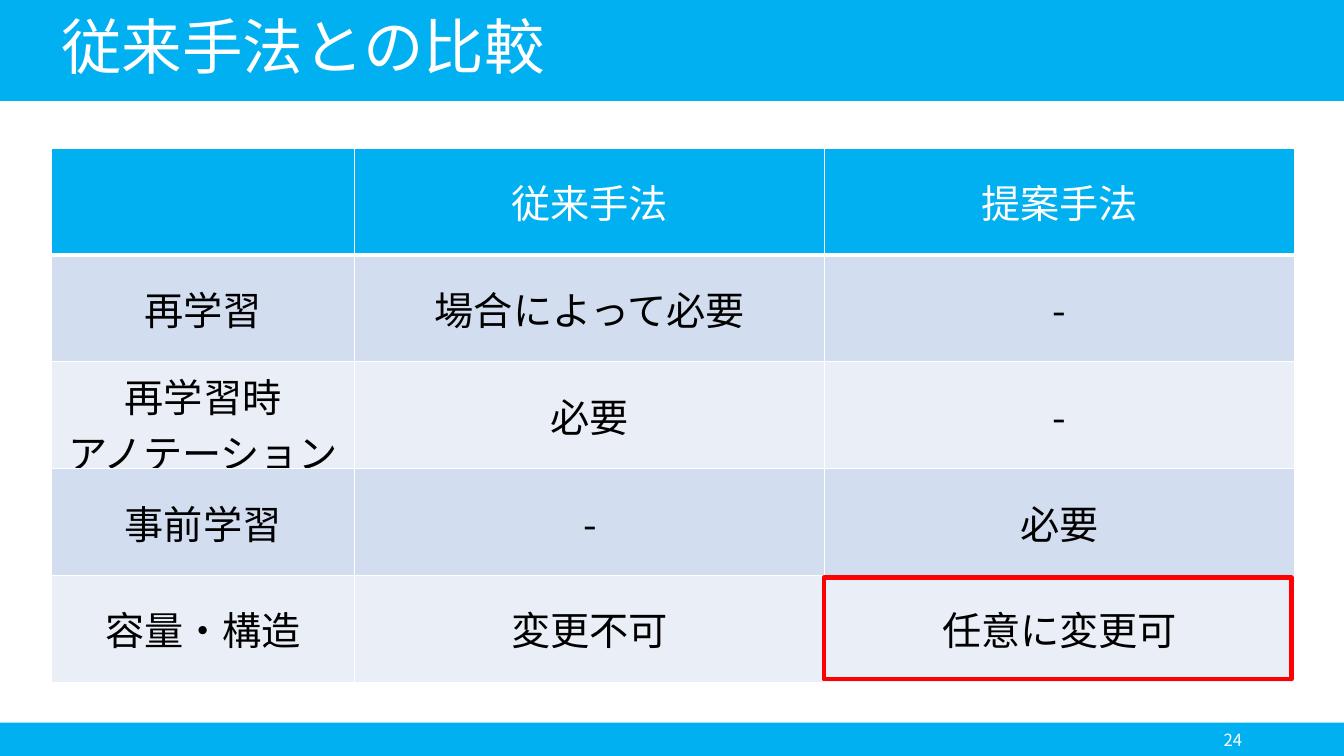
from lxml.etree import SubElement
from pptx import Presentation
from pptx.dml.color import RGBColor
from pptx.enum.shapes import MSO_SHAPE as SHAPE
from pptx.enum.text import MSO_ANCHOR as ANCHOR, PP_ALIGN as ALIGN
from pptx.oxml.ns import qn
from pptx.util import Inches, Pt

# Content
TITLE = "従来手法との比較"
PAGE = "24"
ROWS = [
    ("", "従来手法", "提案手法"),
    ("再学習", "場合によって必要", "-"),
    ("再学習時\nアノテーション", "必要", "-"),
    ("事前学習", "-", "必要"),
    ("容量・構造", "変更不可", "任意に変更可"),
]

# Format
FONT = "Noto Sans CJK JP"
BLUE = RGBColor(0x00, 0xB0, 0xF0)
WHITE = RGBColor(0xFF, 0xFF, 0xFF)
BLACK = RGBColor(0x00, 0x00, 0x00)
RED = RGBColor(0xFF, 0x00, 0x00)
BANDS = [RGBColor(0xEA, 0xEF, 0xF7), RGBColor(0xD2, 0xDE, 0xEF)]
LEFT, WIDTH = 0.51, 12.32
COLS = [3.01, 4.66, 4.66]
ROW_H = 1.06

prs = Presentation()
prs.slide_width, prs.slide_height = Inches(13.33), Inches(7.5)
s = prs.slides.add_slide(prs.slide_layouts[6])


def write(tf, text, size=28, color=BLACK, align=ALIGN.CENTER, spacing=None):
    tf.word_wrap = True
    for i, line in enumerate(text.split("\n")):
        p = tf.add_paragraph() if i else tf.paragraphs[0]
        p.alignment = align
        if spacing:
            p.line_spacing = spacing
        r = p.add_run()
        r.text = line
        r.font.size, r.font.bold = Pt(size), False
        r.font.color.rgb = color
        r.font.name = FONT
        SubElement(r.font._element, qn("a:ea"), typeface=FONT)


def add_text(box, text, **fmt):
    tf = s.shapes.add_textbox(*map(Inches, box)).text_frame
    tf.vertical_anchor = ANCHOR.MIDDLE
    write(tf, text, **fmt)


def add_rect(box, fill=None, line=None):
    sp = s.shapes.add_shape(SHAPE.RECTANGLE, *map(Inches, box))
    sp.shadow.inherit = False
    if fill:
        sp.fill.solid()
        sp.fill.fore_color.rgb = fill
    else:
        sp.fill.background()
    if line:
        sp.line.color.rgb, sp.line.width = line, Pt(3)
    else:
        sp.line.fill.background()


def set_borders(cell, bottom):
    tcPr = cell._tc.get_or_add_tcPr()
    for side, width in zip("LRTB", (1, 1, 1, bottom)):
        ln = SubElement(tcPr, qn(f"a:ln{side}"), w=str(Pt(width)))
        SubElement(SubElement(ln, qn("a:solidFill")), qn("a:srgbClr"), val=str(WHITE))


# Header and footer bands
for top, height in ((-0.01, 1.01), (7.17, 0.36)):
    add_rect((-0.01, top, 13.35, height), fill=BLUE)
add_text((LEFT, 0.1, WIDTH, 0.78), TITLE, size=43.2, color=WHITE,
         align=ALIGN.LEFT, spacing=0.9)

# Comparison table
table = s.shapes.add_table(len(ROWS), len(COLS), Inches(LEFT), Inches(1.47),
                           Inches(WIDTH), Inches(ROW_H * len(ROWS))).table
for col, width in zip(table.columns, COLS):
    col.width = Inches(width)
for i, row in enumerate(ROWS):
    table.rows[i].height = Inches(ROW_H)
    for j, text in enumerate(row):
        cell = table.cell(i, j)
        cell.vertical_anchor = ANCHOR.MIDDLE
        set_borders(cell, bottom=1 if i else 3)
        cell.fill.solid()
        cell.fill.fore_color.rgb = BANDS[i % 2] if i else BLUE
        if text:
            write(cell.text_frame, text, color=BLACK if i else WHITE)

# Page number and highlight frame
add_text((9.42, 7.2, 3, 0.28), PAGE, size=12, color=WHITE, align=ALIGN.RIGHT)
add_rect((8.17, 5.73, 4.64, 1.01), line=RED)

prs.save("out.pptx")
